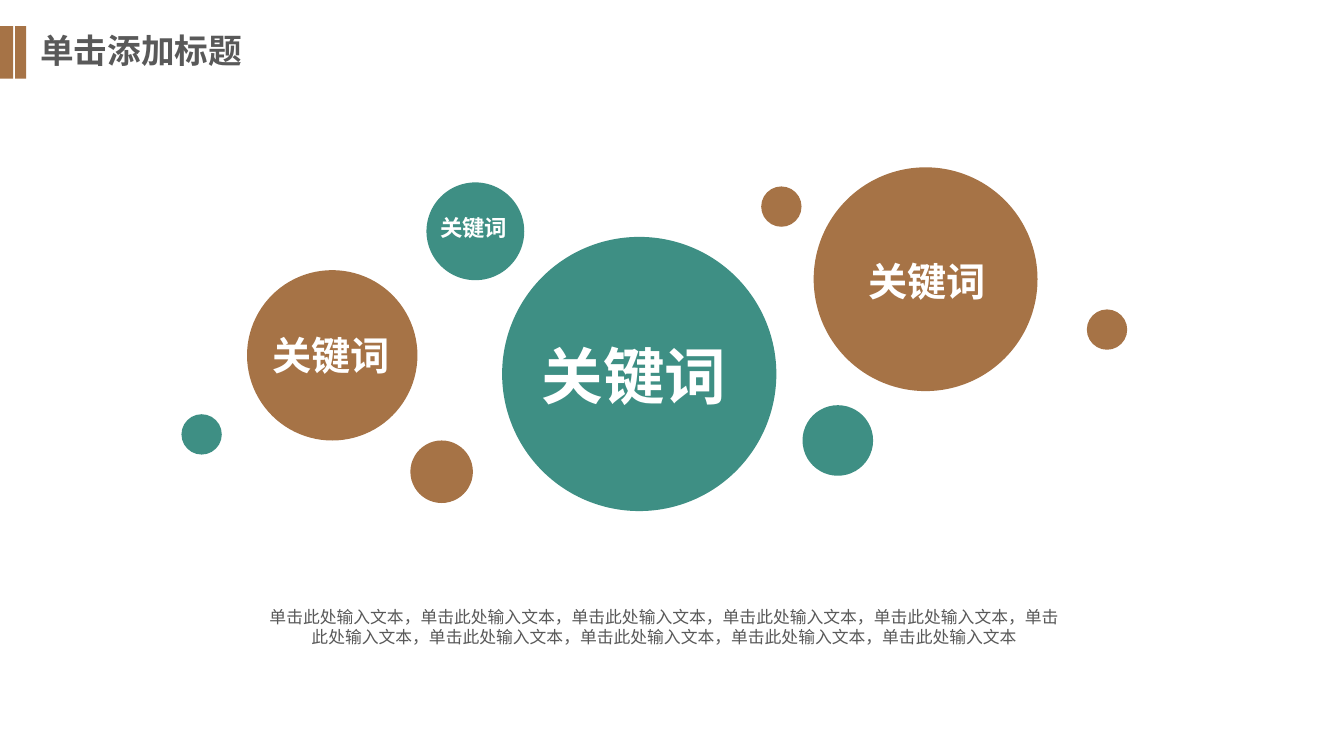
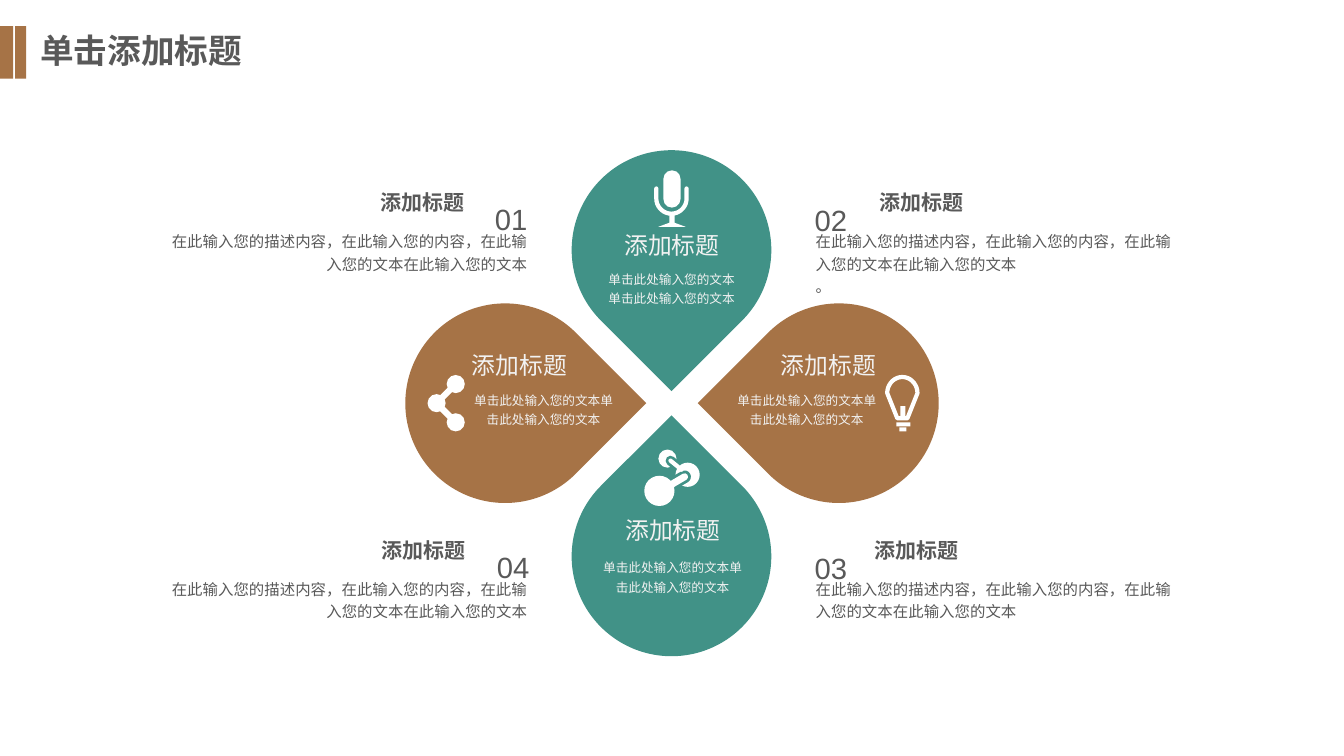
import math

from lxml import etree
from pptx import Presentation
from pptx.dml.color import RGBColor
from pptx.enum.shapes import MSO_CONNECTOR, MSO_SHAPE
from pptx.enum.text import MSO_ANCHOR, MSO_AUTO_SIZE, PP_ALIGN
from pptx.oxml.ns import qn
from pptx.util import Inches, Pt

BROWN = RGBColor(0xA6, 0x73, 0x46)
TEAL = RGBColor(0x3E, 0x8F, 0x84)
DROP_TEAL = RGBColor(0x41, 0x92, 0x87)
GRAY = RGBColor(0x59, 0x59, 0x59)
WHITE = RGBColor(0xFF, 0xFF, 0xFF)
PALE = RGBColor(0xF2, 0xF2, 0xF2)
CJK_FONT = "Noto Sans CJK SC"
LATIN_FONT = "Arial"
LEFT, CENTER, RIGHT = PP_ALIGN.LEFT, PP_ALIGN.CENTER, PP_ALIGN.RIGHT
OVAL, RECTANGLE, TEARDROP = MSO_SHAPE.OVAL, MSO_SHAPE.RECTANGLE, MSO_SHAPE.TEAR
CAPSULE, TRIANGLE = MSO_SHAPE.ROUNDED_RECTANGLE, MSO_SHAPE.ISOSCELES_TRIANGLE
SMALL_MARGINS = (0.07, 0.04)


def add_filled(slide, kind, box, color, rotation=0):
    shape = slide.shapes.add_shape(kind, *[Inches(value) for value in box])
    shape.shadow.inherit = False
    shape.fill.solid()
    shape.fill.fore_color.rgb = color
    shape.line.fill.background()
    shape.rotation = rotation
    return shape


def write_text(shape, lines, size, color, alignment=LEFT, bold=False, font=CJK_FONT,
               spacing=None, margins=(0.1, 0.05), baseline=None):
    frame = shape.text_frame
    frame.word_wrap = True
    frame.auto_size = MSO_AUTO_SIZE.SHAPE_TO_FIT_TEXT
    frame.vertical_anchor = MSO_ANCHOR.TOP
    frame.margin_left = frame.margin_right = Inches(margins[0])
    frame.margin_top = frame.margin_bottom = Inches(margins[1])
    for index, line in enumerate(lines):
        paragraph = frame.add_paragraph() if index else frame.paragraphs[0]
        paragraph.alignment = alignment
        if spacing:
            paragraph.line_spacing = spacing
        run = paragraph.add_run()
        run.text = line
        run.font.size = Pt(size)
        run.font.bold = bold
        run.font.color.rgb = color
        run.font.name = font
        properties = run._r.get_or_add_rPr()
        etree.SubElement(properties, qn("a:ea")).set("typeface", CJK_FONT)
        if baseline:
            properties.set("baseline", str(baseline))


presentation = Presentation()
presentation.slide_width = Inches(13.33)
presentation.slide_height = Inches(7.5)
layout = presentation.slide_layouts[5]
layout_title = layout.placeholders[0]
layout_title.left, layout_title.top = Inches(0.3), Inches(0.25)
layout_title.width, layout_title.height = Inches(3.3), Inches(0.53)

bubble_slide = presentation.slides.add_slide(layout)
petal_slide = presentation.slides.add_slide(layout)
for slide in (bubble_slide, petal_slide):
    write_text(slide.shapes.title, ["单击添加标题"], 24, GRAY, bold=True)
for left, width in ((0, 0.13), (0.15, 0.11)):
    band = add_filled(bubble_slide, RECTANGLE, (left, 0.26, width, 0.52), BROWN)
    layout.shapes._spTree.append(band._element)

bubbles = [
    (4.98, 2.35, 2.72, TEAL), (2.45, 2.68, 1.69, BROWN), (8.07, 1.66, 2.22, BROWN),
    (4.07, 4.37, 0.62, BROWN), (4.23, 1.81, 0.97, TEAL), (7.55, 1.85, 0.4, BROWN),
    (7.96, 4.02, 0.7, TEAL), (1.8, 4.11, 0.4, TEAL), (10.78, 3.07, 0.4, BROWN),
]
for left, top, diameter, color in bubbles:
    add_filled(bubble_slide, OVAL, (left, top, diameter, diameter), color)

keywords = [
    ((2.37, 3.24, 1.83, 0.6), 28), ((4.85, 3.3, 2.88, 0.88), 44),
    ((8.28, 2.5, 1.83, 0.6), 28), ((4.11, 2.08, 1.18, 0.39), 16),
]
for box, size in keywords:
    label = bubble_slide.shapes.add_textbox(*[Inches(value) for value in box])
    write_text(label, ["关键词"], size, WHITE, CENTER, bold=True)
summary = bubble_slide.shapes.add_textbox(Inches(2.51), Inches(5.97), Inches(8.16), Inches(0.51))
write_text(summary, ["，".join(["单击此处输入文本"] * 10)], 12, GRAY, CENTER)

description = "在此输入您的描述内容，在此输入您的内容，在此输入您的文本在此输入您的文本"
callouts = [
    ("01", RIGHT, (2.77, 1.84, 1.91, 0.34), (1.52, 2.23, 3.78, 0.51), (4.62, 1.73), [description]),
    ("02", LEFT, (8.65, 1.84, 2.24, 0.34), (8.02, 2.23, 3.79, 0.73), (8.01, 1.74), [description, "。"]),
    ("03", LEFT, (8.6, 5.29, 2.1, 0.34), (8.02, 5.68, 3.79, 0.51), (8.01, 5.19), [description]),
    ("04", RIGHT, (2.41, 5.29, 2.28, 0.34), (1.52, 5.68, 3.78, 0.51), (4.64, 5.18), [description]),
]
for number, alignment, heading_box, body_box, number_corner, body_lines in callouts:
    heading, body, figure = [
        petal_slide.shapes.add_textbox(*[Inches(value) for value in box])
        for box in (heading_box, body_box, (*number_corner, 0.68, 0.46))
    ]
    write_text(heading, ["添加标题"], 15, GRAY, alignment, bold=True, font=LATIN_FONT,
               margins=SMALL_MARGINS)
    write_text(body, body_lines, 11, GRAY, alignment, spacing=1.2, margins=SMALL_MARGINS)
    write_text(figure, [number], 36, GRAY, alignment, font=LATIN_FONT,
               margins=SMALL_MARGINS, baseline=-3000)

petals = [
    (5.67, 1.49, 135, DROP_TEAL, (5.96, 2.25), CENTER, (5.95, 2.61, 1.42)),
    (5.67, 4.53, 315, DROP_TEAL, (5.97, 5.08), CENTER, (5.91, 5.47, 1.52)),
    (7.33, 3.01, 225, BROWN, (7.35, 3.44), RIGHT, (7.24, 3.81, 1.52)),
    (4.02, 3.01, 45, BROWN, (4.61, 3.44), LEFT, (4.63, 3.81, 1.52)),
]
for left, top, rotation, color, heading_corner, alignment, body_box in petals:
    add_filled(petal_slide, TEARDROP, (left, top, 1.98, 1.98), color, rotation)
    heading, body = [
        petal_slide.shapes.add_textbox(*[Inches(value) for value in box])
        for box in ((*heading_corner, 1.41, 0.38), (*body_box, 0.46))
    ]
    write_text(heading, ["添加标题"], 17, PALE, alignment, margins=SMALL_MARGINS)
    write_text(body, ["单击此处输入您的文本" * 2], 9, PALE, CENTER, spacing=1.3,
               margins=SMALL_MARGINS)

microphone = add_filled(petal_slide, CAPSULE, (6.58, 1.69, 0.17, 0.37), WHITE)
microphone.adjustments[0] = 0.5
add_filled(petal_slide, RECTANGLE, (6.64, 2.13, 0.05, 0.1), WHITE)
add_filled(petal_slide, TRIANGLE, (6.53, 2.2, 0.27, 0.05), WHITE)
for box in ((8.93, 4.03, 0.05, 0.12), (8.89, 4.19, 0.14, 0.04), (8.92, 4.24, 0.07, 0.04)):
    add_filled(petal_slide, RECTANGLE, box, WHITE)

cup = [(6.51, 1.87)]
bulb = [(8.9, 4.15)]
for degrees in range(180, -1, -10):
    cosine, sine = math.cos(math.radians(degrees)), math.sin(math.radians(degrees))
    cup.append((6.66 + 0.15 * cosine, 1.97 + 0.15 * sine))
    bulb.append((8.95 + 0.15 * cosine, 3.9 - 0.16 * sine))
cup.append((6.81, 1.87))
bulb.append((9.0, 4.15))
for points, closed in ((cup, False), (bulb, True)):
    corners = [(Inches(x), Inches(y)) for x, y in points]
    builder = petal_slide.shapes.build_freeform(*corners[0])
    builder.add_line_segments(corners[1:], close=closed)
    outline = builder.convert_to_shape()
    outline.shadow.inherit = False
    outline.fill.background()
    outline.line.color.rgb = WHITE
    outline.line.width = Pt(3)
    outline.line._get_or_add_ln().set("cap", "rnd")

icon_parts = [
    ("dot", 4.52, 3.81, 0.09, WHITE), ("dot", 4.52, 4.19, 0.09, WHITE),
    ("dot", 4.33, 4, 0.09, WHITE),
    ("link", 4.33, 4, 4.52, 3.81, 4.5, WHITE), ("link", 4.33, 4, 4.52, 4.19, 4.5, WHITE),
    ("dot", 6.62, 4.55, 0.09, WHITE),
    ("link", 6.65, 4.57, 6.73, 4.64, 7, DROP_TEAL),
    ("dot", 6.82, 4.71, 0.12, WHITE),
    ("link", 6.65, 4.81, 6.79, 4.73, 9, DROP_TEAL),
    ("dot", 6.54, 4.87, 0.15, WHITE),
    ("link", 6.65, 4.57, 6.76, 4.66, 3, WHITE), ("link", 6.62, 4.83, 6.79, 4.73, 5, WHITE),
]
for kind, *values, color in icon_parts:
    if kind == "dot":
        x, y, radius = values
        add_filled(petal_slide, OVAL, (x - radius, y - radius, 2 * radius, 2 * radius), color)
        continue
    *ends, width = values
    link = petal_slide.shapes.add_connector(
        MSO_CONNECTOR.STRAIGHT, *[Inches(value) for value in ends])
    link.line.color.rgb = color
    link.line.width = Pt(width)
    link.line._get_or_add_ln().set("cap", "rnd")
    etree.SubElement(link._element.spPr, qn("a:effectLst"))

presentation.save("out.pptx")
